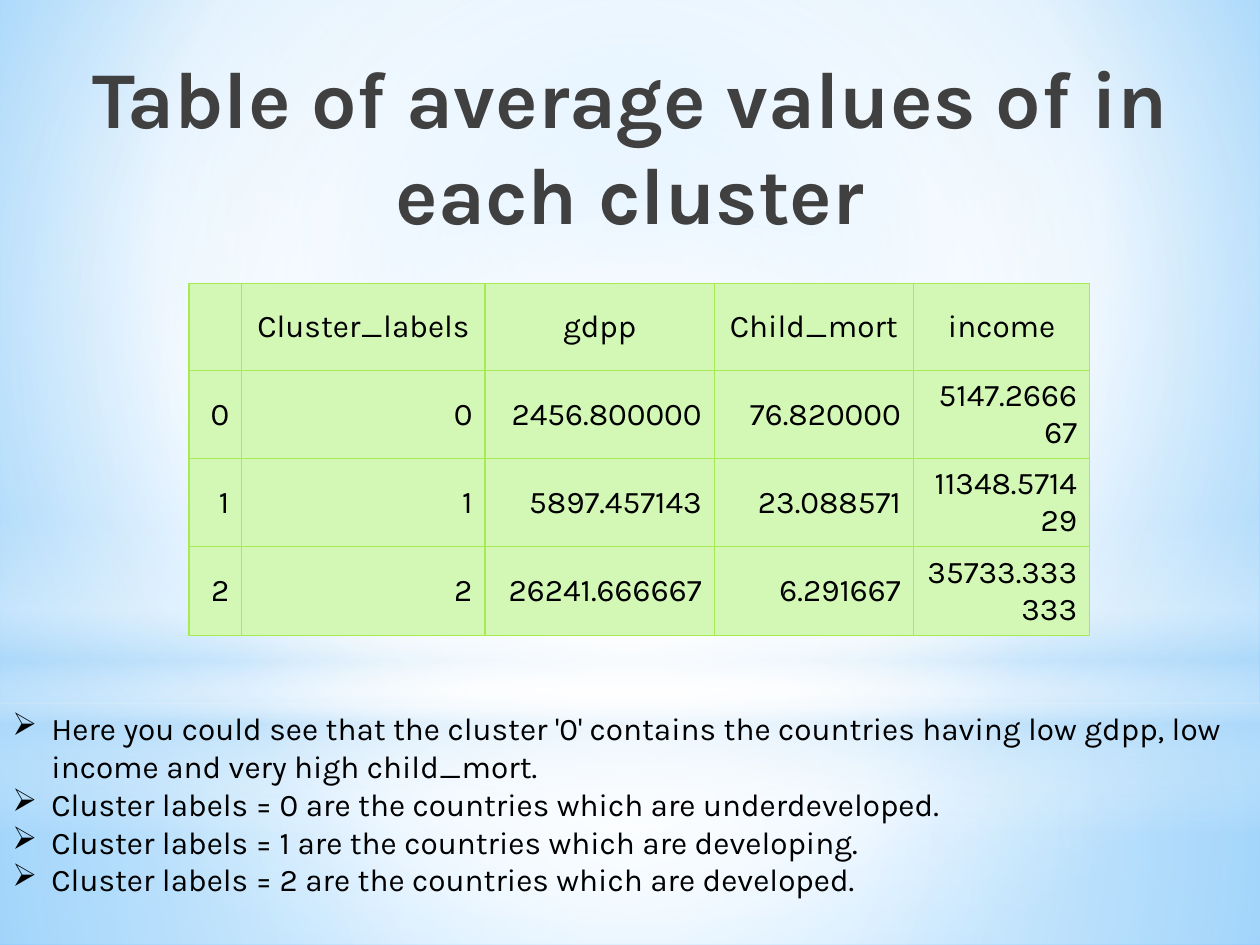
from dataclasses import dataclass
from typing import Optional

from lxml.etree import SubElement
from pptx import Presentation
from pptx.dml.color import RGBColor
from pptx.enum.shapes import MSO_SHAPE
from pptx.enum.text import MSO_ANCHOR, PP_ALIGN
from pptx.oxml.ns import qn
from pptx.util import Inches, Pt


@dataclass(frozen=True)
class Theme:
    font: str = "Karla"
    text: str = "000000"
    title: str = "404040"
    cell: str = "D3F7B5"
    border: str = "A7EA52"
    white: str = "FFFFFF"
    haze: str = "B4DCFA"
    sky: str = "9ED5FF"
    deep_sky: str = "5BB9FF"
    title_size: int = 46
    body_size: int = 18
    border_width: float = 0.75


@dataclass(frozen=True)
class Stop:
    position: int
    color: str
    opacity: int = 100


@dataclass(frozen=True)
class Glow:
    left: float
    top: float
    width: float
    height: float
    stops: tuple[Stop, ...]
    center: Optional[tuple[int, ...]] = (50, 50, 50, 50)
    preset: MSO_SHAPE = MSO_SHAPE.RECTANGLE


THEME = Theme()

BACKGROUND = (Stop(0, THEME.sky), Stop(60, THEME.white), Stop(100, THEME.deep_sky))

GLOWS = (
    Glow(0, 5.58, 10, 1.92,
         (Stop(0, THEME.white, 91), Stop(37, THEME.white, 76), Stop(100, THEME.haze, 79))),
    Glow(0, 0, 10, 5.58,
         (Stop(0, THEME.white, 89), Stop(48, THEME.white, 62), Stop(100, THEME.haze, 79))),
    Glow(0, 4.12, 10, 2.5,
         (Stop(0, THEME.white, 0), Stop(29, THEME.white, 30), Stop(45, THEME.haze, 40),
          Stop(55, THEME.white, 26), Stop(65, THEME.haze, 60), Stop(100, THEME.white, 0)),
         center=None),
    Glow(0, 1.75, 10, 5.58, (Stop(0, THEME.white), Stop(56, THEME.white, 0)),
         preset=MSO_SHAPE.OVAL),
)

COLUMN_WIDTHS = (0.42, 1.93, 1.82, 1.58, 1.4)
ROW_HEIGHT = 0.69
ROWS = (
    ("", "Cluster_labels", "gdpp", "Child_mort", "income"),
    ("0", "0", "2456.800000", "76.820000", "5147.266667"),
    ("1", "1", "5897.457143", "23.088571", "11348.571429"),
    ("2", "2", "26241.666667", "6.291667", "35733.333333"),
)

FINDINGS = (
    "Here you could see that the cluster '0' contains the countries having low gdpp, "
    "low income and very high child_mort.",
    "Cluster labels = 0 are the countries which are underdeveloped.",
    "Cluster labels = 1 are the countries which are developing.",
    "Cluster labels = 2 are the countries which are developed.",
)


def set_gradient(owner, stops: tuple[Stop, ...], center: Optional[tuple[int, ...]]) -> None:
    gradient = owner.find(".//" + qn("a:gradFill"))
    for child in list(gradient):
        gradient.remove(child)
    stop_list = SubElement(gradient, qn("a:gsLst"))
    for stop in stops:
        entry = SubElement(stop_list, qn("a:gs"), pos=str(stop.position * 1000))
        color = SubElement(entry, qn("a:srgbClr"), val=stop.color)
        if stop.opacity < 100:
            SubElement(color, qn("a:alpha"), val=str(stop.opacity * 1000))
    if center is None:
        SubElement(gradient, qn("a:lin"), ang="5400000", scaled="0")
    else:
        circle = SubElement(gradient, qn("a:path"), {"path": "circle"})
        edges = {side: str(value * 1000) for side, value in zip("ltrb", center)}
        SubElement(circle, qn("a:fillToRect"), edges)


def add_glow(page, glow: Glow) -> None:
    shape = page.shapes.add_shape(glow.preset, Inches(glow.left), Inches(glow.top),
                                  Inches(glow.width), Inches(glow.height))
    shape.shadow.inherit = False
    shape.line.fill.background()
    shape.fill.gradient()
    set_gradient(shape.element, glow.stops, glow.center)


def add_span(para, text: str, size: int, color: str, bold: bool = False) -> None:
    span = para.add_run()
    span.text = text
    span.font.name = THEME.font
    span.font.size = Pt(size)
    span.font.bold = bold
    span.font.color.rgb = RGBColor.from_string(color)


def add_box(page, left: float, top: float, width: float, height: float):
    box = page.shapes.add_textbox(Inches(left), Inches(top), Inches(width), Inches(height))
    box.text_frame.word_wrap = True
    return box.text_frame


def set_bullet(para) -> None:
    properties = para._p.get_or_add_pPr()
    properties.set("marL", str(Inches(0.31)))
    properties.set("indent", str(-Inches(0.31)))
    SubElement(properties, qn("a:buChar"), char="➢")


def set_borders(cell) -> None:
    properties = cell._tc.get_or_add_tcPr()
    for index, side in enumerate(("lnL", "lnR", "lnT", "lnB")):
        line = SubElement(properties, qn(f"a:{side}"), w=str(Pt(THEME.border_width)))
        fill = SubElement(line, qn("a:solidFill"))
        SubElement(fill, qn("a:srgbClr"), val=THEME.border)
        properties.insert(index, line)


def add_cluster_table(page) -> None:
    frame = page.shapes.add_table(len(ROWS), len(COLUMN_WIDTHS), Inches(1.5), Inches(2.25),
                                  Inches(sum(COLUMN_WIDTHS)), Inches(ROW_HEIGHT * len(ROWS)))
    table = frame.table
    for column, width in zip(table.columns, COLUMN_WIDTHS):
        column.width = Inches(width)
    for row_index, values in enumerate(ROWS):
        table.rows[row_index].height = Inches(ROW_HEIGHT)
        for column_index, value in enumerate(values):
            cell = table.cell(row_index, column_index)
            cell.fill.solid()
            cell.fill.fore_color.rgb = RGBColor.from_string(THEME.cell)
            cell.vertical_anchor = MSO_ANCHOR.MIDDLE
            set_borders(cell)
            para = cell.text_frame.paragraphs[0]
            para.alignment = PP_ALIGN.RIGHT if row_index else PP_ALIGN.CENTER
            if value:
                add_span(para, value, THEME.body_size, THEME.text)


def add_title(page) -> None:
    para = add_box(page, 0.25, 0.33, 9.5, 1.25).paragraphs[0]
    para.alignment = PP_ALIGN.CENTER
    add_span(para, "Table of average values of in each cluster",
             THEME.title_size, THEME.title, bold=True)


def add_findings(page) -> None:
    frame = add_box(page, 0, 5.58, 10, 1.92)
    for index, finding in enumerate(FINDINGS):
        para = frame.add_paragraph() if index else frame.paragraphs[0]
        set_bullet(para)
        add_span(para, finding, THEME.body_size, THEME.text)


def main() -> None:
    deck = Presentation()
    deck.slide_width, deck.slide_height = Inches(10), Inches(7.5)
    page = deck.slides.add_slide(deck.slide_layouts[6])
    page.background.fill.gradient()
    set_gradient(page.element, BACKGROUND, (20, 10, 20, 60))
    for glow in GLOWS:
        add_glow(page, glow)
    add_title(page)
    add_cluster_table(page)
    add_findings(page)
    deck.save("out.pptx")


main()
